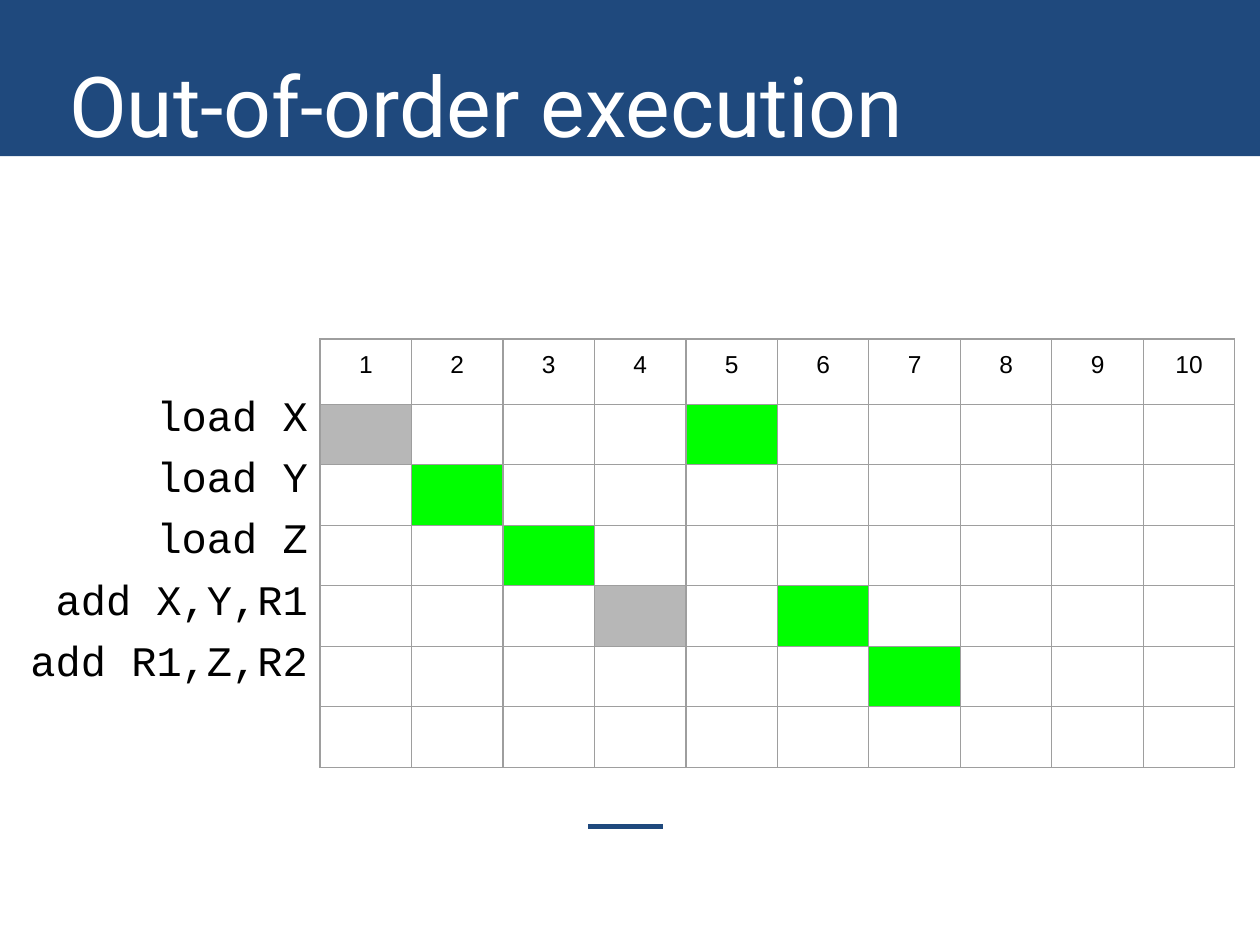
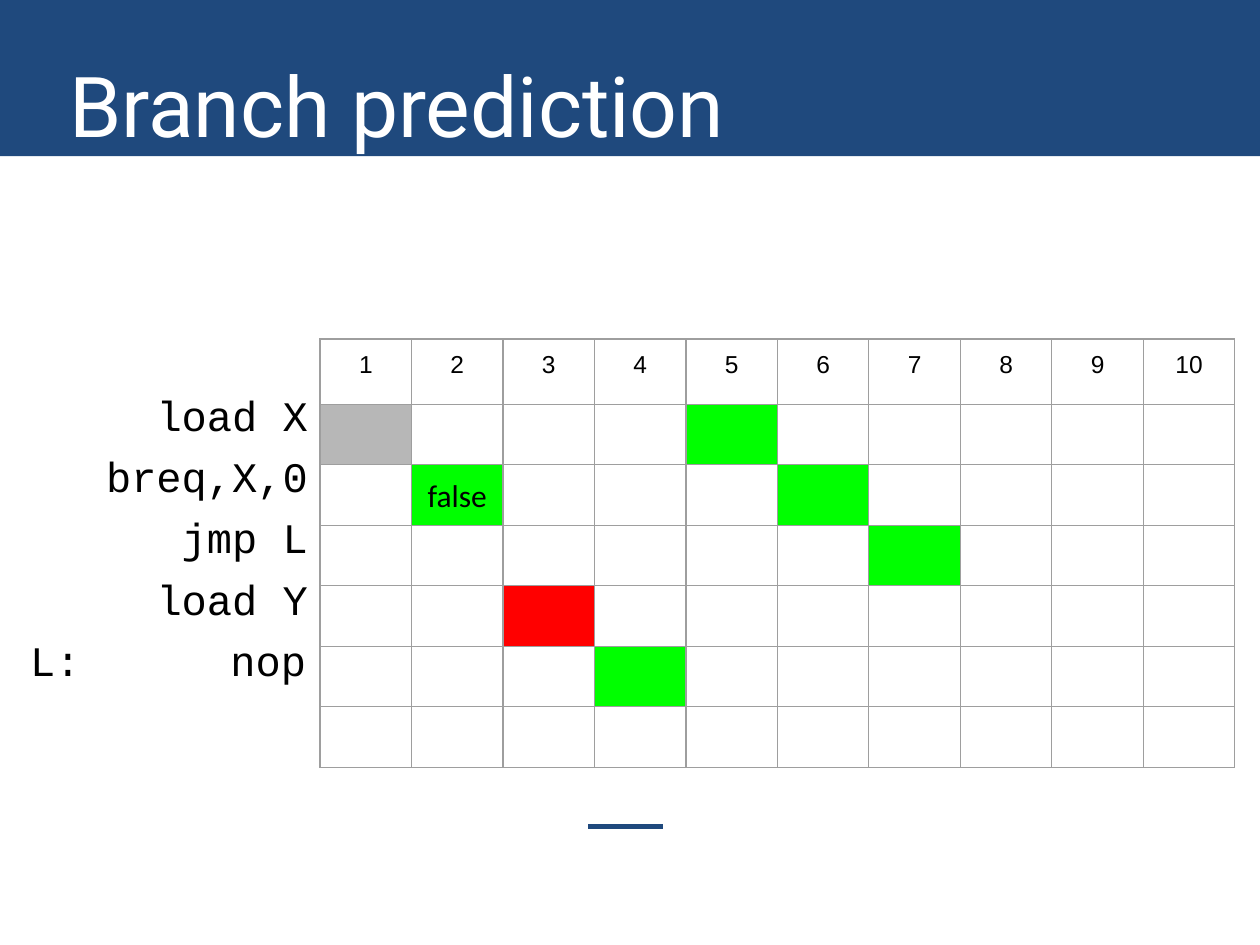
from collections import namedtuple

from lxml import etree
from pptx import Presentation
from pptx import util as u
from pptx.dml import color
from pptx.enum import shapes, text
from pptx.oxml import ns

Box = namedtuple("Box", "left top width height")

COLOURS = {"navy": "1F497D", "white": "FFFFFF", "black": "000000", "border": "9E9E9E",
           "waiting": "B7B7B7", "done": "00FF00", "wrong": "FF0000"}
GRID_COLUMNS, GRID_ROWS = 100, 75
WIDTH, HEIGHT = u.Inches(10), u.Inches(7.5)
COLUMN, ROW = WIDTH / GRID_COLUMNS, HEIGHT / GRID_ROWS

BAND = Box(0, 0, GRID_COLUMNS, 12.4)
TITLE = Box(4.5, 4.2, 93.1, 8.1)
FOOTER = Box(46.7, 65.6, 5.9, 0)
LABELS = Box(-1.5, 29.9, 26.9, 27.1)
TIMELINE = Box(25.4, 26.9, 72.6, 34)
CYCLES, STEPS, HEADER_HEIGHT = 10, 6, 5.2
CYCLE_WIDTH = TIMELINE.width / CYCLES
STEP_HEIGHT = (TIMELINE.height - HEADER_HEIGHT) / STEPS
INSET = u.Inches(0.1)
LABEL_TABS = [(2.9, "l"), (24.8, "r")]

PAGES = [
    {"title": "Out-of-order execution",
     "labels": ["load X", "load Y", "load Z", "add X,Y,R1", "add R1,Z,R2"],
     "marks": {(1, 1): "waiting", (1, 5): "done", (2, 2): "done", (3, 3): "done",
               (4, 4): "waiting", (4, 6): "done", (5, 7): "done"},
     "notes": {}},
    {"title": "Branch prediction",
     "labels": ["load X", "breq,X,0", "jmp L", "load Y", "\tL:\tnop"],
     "marks": {(1, 1): "waiting", (1, 5): "done", (2, 2): "done", (2, 6): "done",
               (3, 7): "done", (4, 3): "wrong", (5, 4): "done"},
     "notes": {(2, 2): "false"}},
]


def rgb(name):
    return color.RGBColor.from_string(COLOURS[name])


def place(box):
    return [u.Emu(round(length)) for length in
            (box.left * COLUMN, box.top * ROW, box.width * COLUMN, box.height * ROW)]


def write(para, words, font="Arial", size=14, colour="black", align="LEFT", before=0):
    para.alignment = getattr(text.PP_ALIGN, align)
    para.space_before = u.Pt(before)
    span = para.add_run()
    span.text = words
    span.font.name = font
    span.font.size = u.Pt(size)
    span.font.color.rgb = rgb(colour)


def set_tabs(para, stops):
    tabs = etree.SubElement(para._p.get_or_add_pPr(), ns.qn("a:tabLst"))
    for column, align in stops:
        etree.SubElement(tabs, ns.qn("a:tab"), pos=str(round(column * COLUMN)), algn=align)


def add_frame(page, box, anchor="TOP"):
    frame = page.shapes.add_textbox(*place(box)).text_frame
    frame.word_wrap = True
    frame.vertical_anchor = getattr(text.MSO_ANCHOR, anchor)
    frame.margin_left = frame.margin_right = frame.margin_top = frame.margin_bottom = INSET
    return frame


def add_band(page, box):
    band = page.shapes.add_shape(shapes.MSO_SHAPE.RECTANGLE, *place(box))
    band.shadow.inherit = False
    band.fill.solid()
    band.fill.fore_color.rgb = rgb("navy")
    band.line.fill.background()


def add_title(page, box, words):
    write(add_frame(page, box, "MIDDLE").paragraphs[0], words,
          font="Roboto", size=48, colour="white")


def add_footer(page, box):
    left, top, width, height = place(box)
    rule = page.shapes.add_connector(shapes.MSO_CONNECTOR.STRAIGHT,
                                     left, top, left + width, top + height)
    rule.line.color.rgb = rgb("navy")
    rule.line.width = u.Pt(3)
    etree.SubElement(rule._element.spPr, ns.qn("a:effectLst"))


def add_labels(page, box, labels):
    frame = add_frame(page, box)
    for index, label in enumerate(labels):
        para = frame.add_paragraph() if index else frame.paragraphs[0]
        tabbed = "\t" in label
        write(para, label, font="Courier New", size=24,
              align="LEFT" if tabbed else "RIGHT", before=6.2)
        if tabbed:
            set_tabs(para, LABEL_TABS)


def style_cell(cell, fill):
    properties = cell._tc.get_or_add_tcPr()
    for side in ("lnL", "lnR", "lnT", "lnB"):
        line = etree.SubElement(properties, ns.qn("a:" + side), w=str(u.Pt(0.75)))
        solid = etree.SubElement(line, ns.qn("a:solidFill"))
        etree.SubElement(solid, ns.qn("a:srgbClr"), val=COLOURS["border"])
    if fill:
        cell.fill.solid()
        cell.fill.fore_color.rgb = rgb(fill)
    else:
        cell.fill.background()


def add_timeline(page, box, marks, notes):
    table = page.shapes.add_table(STEPS + 1, CYCLES, *place(box)).table
    table.first_row = table.horz_banding = False
    for column in table.columns:
        column.width = u.Emu(round(CYCLE_WIDTH * COLUMN))
    for step, row in enumerate(table.rows):
        row.height = u.Emu(round((STEP_HEIGHT if step else HEADER_HEIGHT) * ROW))
        for cycle, cell in enumerate(row.cells, 1):
            style_cell(cell, marks.get((step, cycle)))
            if step == 0:
                cell.margin_left = cell.margin_right = INSET
                cell.margin_top = cell.margin_bottom = INSET
                write(cell.text_frame.paragraphs[0], str(cycle), align="CENTER")
    for (step, cycle), words in notes.items():
        note = Box(box.left + (cycle - 1) * CYCLE_WIDTH,
                   box.top + HEADER_HEIGHT + (step - 1) * STEP_HEIGHT,
                   CYCLE_WIDTH, STEP_HEIGHT)
        write(add_frame(page, note, "MIDDLE").paragraphs[0], words,
              font="Calibri", size=18, align="CENTER")


def add_page(deck, title, labels, marks, notes):
    page = deck.slides.add_slide(deck.slide_layouts[6])
    add_band(page, BAND)
    add_footer(page, FOOTER)
    add_title(page, TITLE, title)
    add_timeline(page, TIMELINE, marks, notes)
    add_labels(page, LABELS, labels)


def main():
    deck = Presentation()
    deck.slide_width, deck.slide_height = WIDTH, HEIGHT
    for content in PAGES:
        add_page(deck, **content)
    deck.save("out.pptx")


if __name__ == "__main__":
    main()
